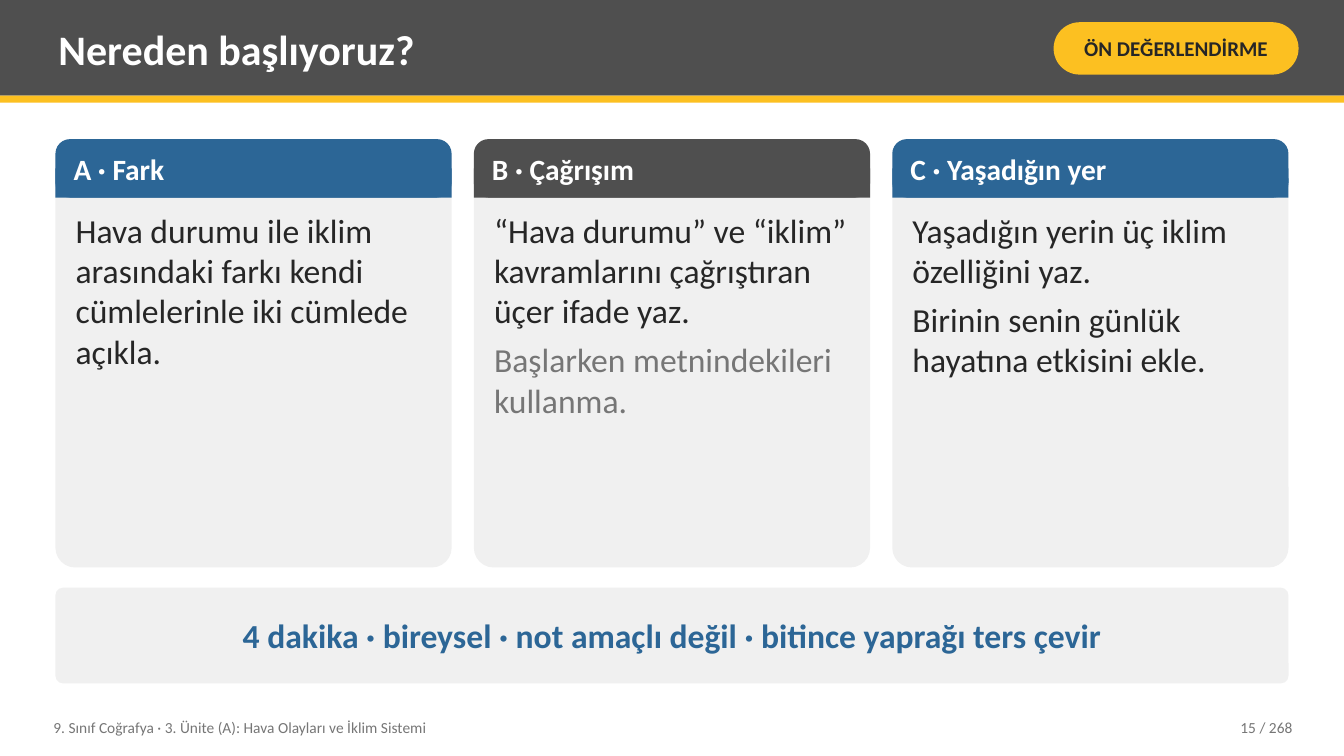
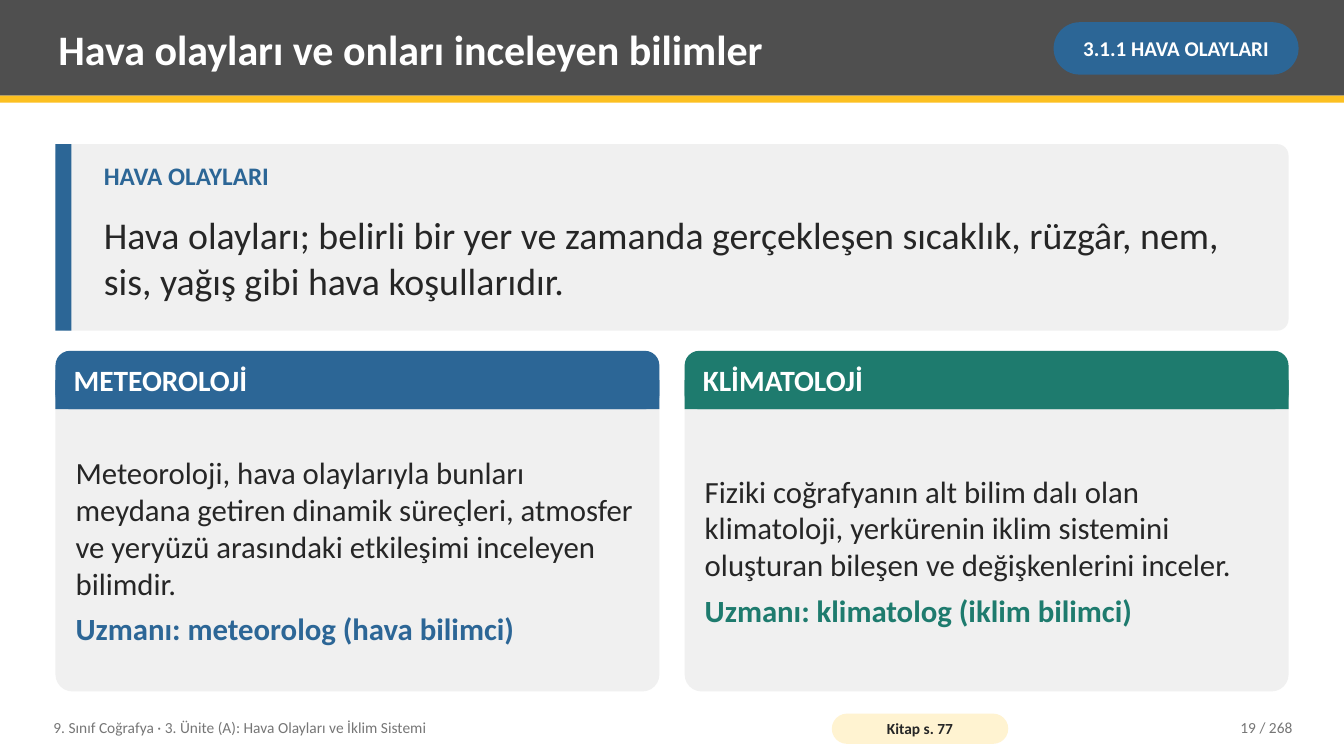
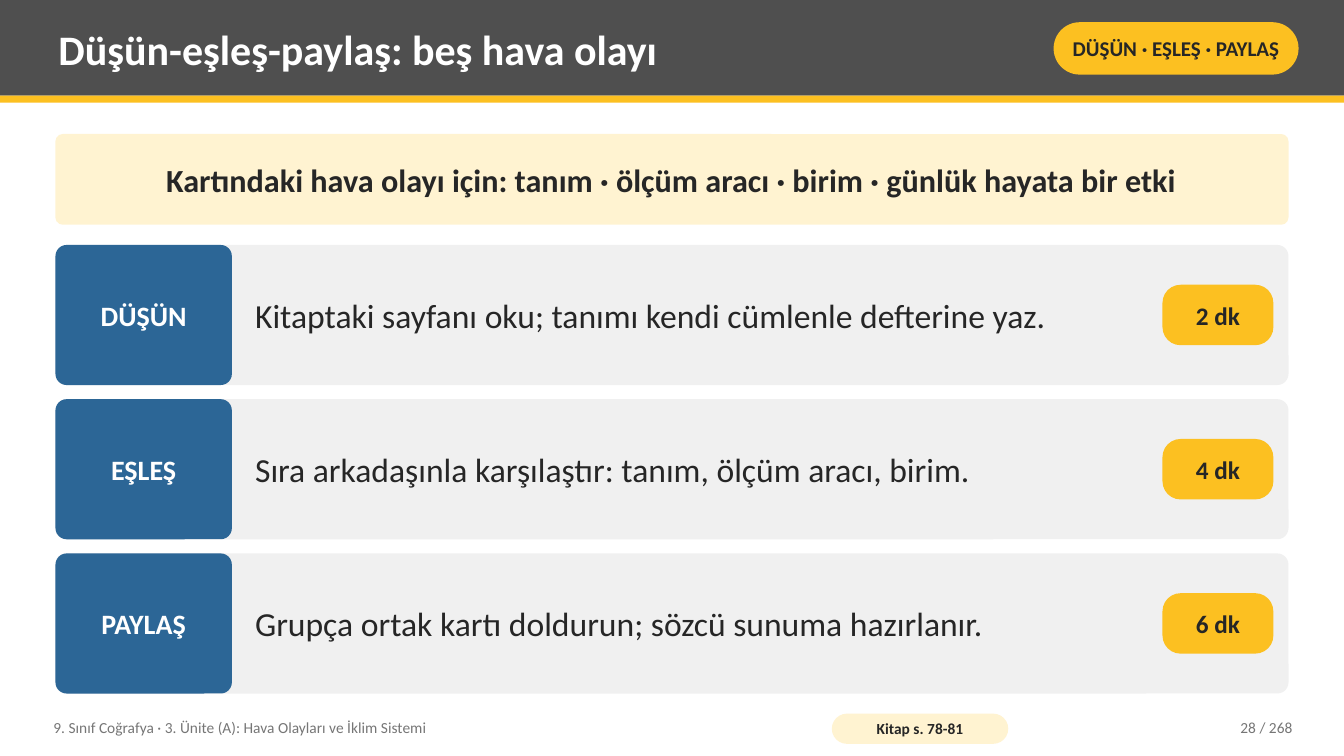
from dataclasses import dataclass

from pptx import Presentation
from pptx.dml.color import RGBColor
from pptx.enum.shapes import MSO_SHAPE as Preset
from pptx.enum.text import MSO_ANCHOR as Anchor, MSO_AUTO_SIZE as AutoSize, PP_ALIGN as Align
from pptx.shapes.autoshape import Shape
from pptx.slide import Slide
from pptx.text.text import TextFrame
from pptx.util import Inches, Pt

FONT = "Calibri"
CHARCOAL, INK, MUTED = "4F4F4F", "262626", "767676"
BLUE, GREEN, YELLOW = "2C6696", "1E7B6E", "FCC021"
PANEL, CREAM, WHITE = "F0F0F0", "FFF3D1", "FFFFFF"

SLIDE_WIDTH, SLIDE_HEIGHT = 13.33, 7.5
LEFT, CONTENT_WIDTH = 0.55, 12.23
HEADING_HEIGHT = 0.58
TITLE_ONLY = 5
FOOTER = "9. Sınıf Coğrafya · 3. Ünite (A): Hava Olayları ve İklim Sistemi"
PAGE_TOTAL = 268

TEXT_INSETS = (0.08, 0.04)
BANNER_INSETS = (0.14, 0.08)


@dataclass(frozen=True)
class Box:
    left: float
    top: float
    width: float
    height: float

    def lengths(self) -> tuple:
        return tuple(Inches(value) for value in (self.left, self.top, self.width, self.height))


@dataclass(frozen=True)
class Line:
    text: str
    size: float
    color: str = INK
    bold: bool = False


@dataclass(frozen=True)
class Card:
    heading: str
    color: str
    lines: tuple[Line, ...]


@dataclass(frozen=True)
class Step:
    name: str
    task: str
    time: str


def rgb(color: str) -> RGBColor:
    return RGBColor.from_string(color)


def write_lines(frame: TextFrame, lines: tuple[Line, ...], align: Align = Align.LEFT,
                anchor: Anchor = Anchor.MIDDLE,
                insets: tuple[float, float] = TEXT_INSETS) -> None:
    """Fill a frame with one paragraph per line; insets are horizontal, vertical."""
    side, end = (Inches(inset) for inset in insets)
    frame_format = {
        "auto_size": AutoSize.NONE, "word_wrap": True, "vertical_anchor": anchor,
        "margin_left": side, "margin_right": side, "margin_top": end, "margin_bottom": end,
    }
    for name, value in frame_format.items():
        setattr(frame, name, value)
    for index, line in enumerate(lines):
        paragraph = frame.add_paragraph() if index else frame.paragraphs[0]
        paragraph.text = line.text
        paragraph.alignment = align
        if index < len(lines) - 1:
            paragraph.space_after = Pt(6)
        font_format = {"name": FONT, "size": Pt(line.size), "bold": line.bold}
        for name, value in font_format.items():
            setattr(paragraph.font, name, value)
        paragraph.font.color.rgb = rgb(line.color)


def add_block(slide: Slide, box: Box, fill: str, rounding: float | None = None) -> Shape:
    """Add a plain filled rectangle, rounded when a rounding is given."""
    preset = Preset.RECTANGLE if rounding is None else Preset.ROUNDED_RECTANGLE
    shape = slide.shapes.add_shape(preset, *box.lengths())
    if rounding is not None:
        shape.adjustments[0] = rounding
    shape.shadow.inherit = False
    shape.fill.solid()
    shape.fill.fore_color.rgb = rgb(fill)
    shape.line.fill.background()
    return shape


def add_label(slide: Slide, box: Box, fill: str, rounding: float, line: Line,
              insets: tuple[float, float]) -> None:
    """Add a rounded block with one centred line."""
    shape = add_block(slide, box, fill, rounding)
    write_lines(shape.text_frame, (line,), Align.CENTER, insets=insets)


def add_text(slide: Slide, box: Box, *lines: Line, align: Align = Align.LEFT,
             anchor: Anchor = Anchor.MIDDLE) -> None:
    text_box = slide.shapes.add_textbox(*box.lengths())
    write_lines(text_box.text_frame, lines, align, anchor)


def add_page(presentation: Presentation, title: str, tag: str, tag_fill: str,
             page: int, source: str = "") -> Slide:
    """Add a slide with the shared header and footer."""
    slide = presentation.slides.add_slide(presentation.slide_layouts[TITLE_ONLY])
    add_block(slide, Box(0, 0, SLIDE_WIDTH, 0.95), CHARCOAL)
    stripe = add_block(slide, Box(0, 0.95, SLIDE_WIDTH, 0.07), YELLOW)

    title_shape = slide.shapes.title
    title_box = Box(0.5, 0.07, 9.75, 0.82)
    for name, value in zip(("left", "top", "width", "height"), title_box.lengths()):
        setattr(title_shape, name, value)
    write_lines(title_shape.text_frame, (Line(title, 30, WHITE, True),))
    stripe.element.addnext(title_shape.element)

    tag_color = INK if tag_fill == YELLOW else WHITE
    add_label(slide, Box(10.45, 0.22, 2.43, 0.52), tag_fill, 0.5,
              Line(tag, 15, tag_color, True), (0.05, 0.02))

    add_text(slide, Box(0.45, 7.04, 7.6, 0.36), Line(FOOTER, 11, MUTED))
    if source:
        add_label(slide, Box(8.25, 7.08, 1.75, 0.3), CREAM, 0.5,
                  Line(source, 11, INK, True), (0.04, 0))
    add_text(slide, Box(11.3, 7.04, 1.6, 0.36),
             Line(f"{page} / {PAGE_TOTAL}", 11, MUTED), align=Align.RIGHT)
    return slide


def add_banner(slide: Slide, top: float, height: float, fill: str, line: Line) -> None:
    add_label(slide, Box(LEFT, top, CONTENT_WIDTH, height), fill, 0.08, line, BANNER_INSETS)


def add_cards(slide: Slide, cards: tuple[Card, ...], top: float, height: float,
              gap: float, anchor: Anchor) -> None:
    """Spread cards evenly over the content width."""
    width = (CONTENT_WIDTH - gap * (len(cards) - 1)) / len(cards)
    half = HEADING_HEIGHT / 2
    for index, card in enumerate(cards):
        left = LEFT + index * (width + gap)
        add_block(slide, Box(left, top, width, height), PANEL, 0.05)
        add_block(slide, Box(left, top, width, HEADING_HEIGHT), card.color, 0.25)
        add_block(slide, Box(left, top + half, width, half), card.color)
        add_text(slide, Box(left + 0.1, top, width - 0.2, HEADING_HEIGHT),
                 Line(card.heading, 21, WHITE, True))
        body = Box(left + 0.12, top + HEADING_HEIGHT + 0.08,
                   width - 0.24, height - HEADING_HEIGHT - 0.16)
        add_text(slide, body, *card.lines, anchor=anchor)


def add_definition(slide: Slide, term: str, meaning: str) -> None:
    top, height = 1.43, 1.85
    add_block(slide, Box(LEFT, top, CONTENT_WIDTH, height), PANEL, 0.06)
    add_block(slide, Box(LEFT, top, 0.16, height), BLUE)
    add_text(slide, Box(0.95, 1.55, 11.63, 0.45), Line(term, 18, BLUE, True), anchor=Anchor.TOP)
    add_text(slide, Box(0.95, 1.98, 11.63, 1.15), Line(meaning, 27))


def add_steps(slide: Slide, steps: tuple[Step, ...]) -> None:
    first_top, height, gap, time_height = 2.43, 1.39, 0.14, 0.6
    for index, step in enumerate(steps):
        top = first_top + index * (height + gap)
        add_block(slide, Box(LEFT, top, CONTENT_WIDTH, height), PANEL, 0.08)
        add_label(slide, Box(LEFT, top, 1.75, height), BLUE, 0.08,
                  Line(step.name, 20, WHITE, True), (0.06, 0.08))
        add_text(slide, Box(2.45, top, 8.88, height), Line(step.task, 24))
        time_box = Box(11.53, top + (height - time_height) / 2, 1.1, time_height)
        add_label(slide, time_box, YELLOW, 0.3, Line(step.time, 18, INK, True), (0.03, 0))


def build_starting_point(presentation: Presentation) -> None:
    slide = add_page(presentation, "Nereden başlıyoruz?", "ÖN DEĞERLENDİRME", YELLOW, 15)
    cards = (
        Card("A · Fark", BLUE, (
            Line("Hava durumu ile iklim arasındaki farkı kendi cümlelerinle "
                 "iki cümlede açıkla.", 24),
        )),
        Card("B · Çağrışım", CHARCOAL, (
            Line("“Hava durumu” ve “iklim” kavramlarını çağrıştıran üçer ifade yaz.", 24),
            Line("Başlarken metnindekileri kullanma.", 24, MUTED),
        )),
        Card("C · Yaşadığın yer", BLUE, (
            Line("Yaşadığın yerin üç iklim özelliğini yaz.", 24),
            Line("Birinin senin günlük hayatına etkisini ekle.", 24),
        )),
    )
    add_cards(slide, cards, 1.38, 4.25, 0.22, Anchor.TOP)
    add_banner(slide, 5.83, 0.95, PANEL, Line(
        "4 dakika · bireysel · not amaçlı değil · bitince yaprağı ters çevir", 24, BLUE, True))


def build_sciences(presentation: Presentation) -> None:
    slide = add_page(presentation, "Hava olayları ve onları inceleyen bilimler",
                     "3.1.1 HAVA OLAYLARI", BLUE, 19, "Kitap s. 77")
    add_definition(slide, "HAVA OLAYLARI",
                   "Hava olayları; belirli bir yer ve zamanda gerçekleşen sıcaklık, rüzgâr, "
                   "nem, sis, yağış gibi hava koşullarıdır.")
    cards = (
        Card("METEOROLOJİ", BLUE, (
            Line("Meteoroloji, hava olaylarıyla bunları meydana getiren dinamik süreçleri, "
                 "atmosfer ve yeryüzü arasındaki etkileşimi inceleyen bilimdir.", 22),
            Line("Uzmanı: meteorolog (hava bilimci)", 22, BLUE, True),
        )),
        Card("KLİMATOLOJİ", GREEN, (
            Line("Fiziki coğrafyanın alt bilim dalı olan klimatoloji, yerkürenin iklim "
                 "sistemini oluşturan bileşen ve değişkenlerini inceler.", 22),
            Line("Uzmanı: klimatolog (iklim bilimci)", 22, GREEN, True),
        )),
    )
    add_cards(slide, cards, 3.48, 3.38, 0.25, Anchor.MIDDLE)


def build_think_pair_share(presentation: Presentation) -> None:
    slide = add_page(presentation, "Düşün-eşleş-paylaş: beş hava olayı",
                     "DÜŞÜN · EŞLEŞ · PAYLAŞ", YELLOW, 28, "Kitap s. 78-81")
    add_banner(slide, 1.33, 0.9, CREAM, Line(
        "Kartındaki hava olayı için: tanım · ölçüm aracı · birim · günlük hayata bir etki",
        23, INK, True))
    add_steps(slide, (
        Step("DÜŞÜN", "Kitaptaki sayfanı oku; tanımı kendi cümlenle defterine yaz.", "2 dk"),
        Step("EŞLEŞ", "Sıra arkadaşınla karşılaştır: tanım, ölçüm aracı, birim.", "4 dk"),
        Step("PAYLAŞ", "Grupça ortak kartı doldurun; sözcü sunuma hazırlanır.", "6 dk"),
    ))


def main() -> None:
    presentation = Presentation()
    presentation.slide_width = Inches(SLIDE_WIDTH)
    presentation.slide_height = Inches(SLIDE_HEIGHT)
    for build in (build_starting_point, build_sciences, build_think_pair_share):
        build(presentation)
    presentation.save("out.pptx")


if __name__ == "__main__":
    main()
